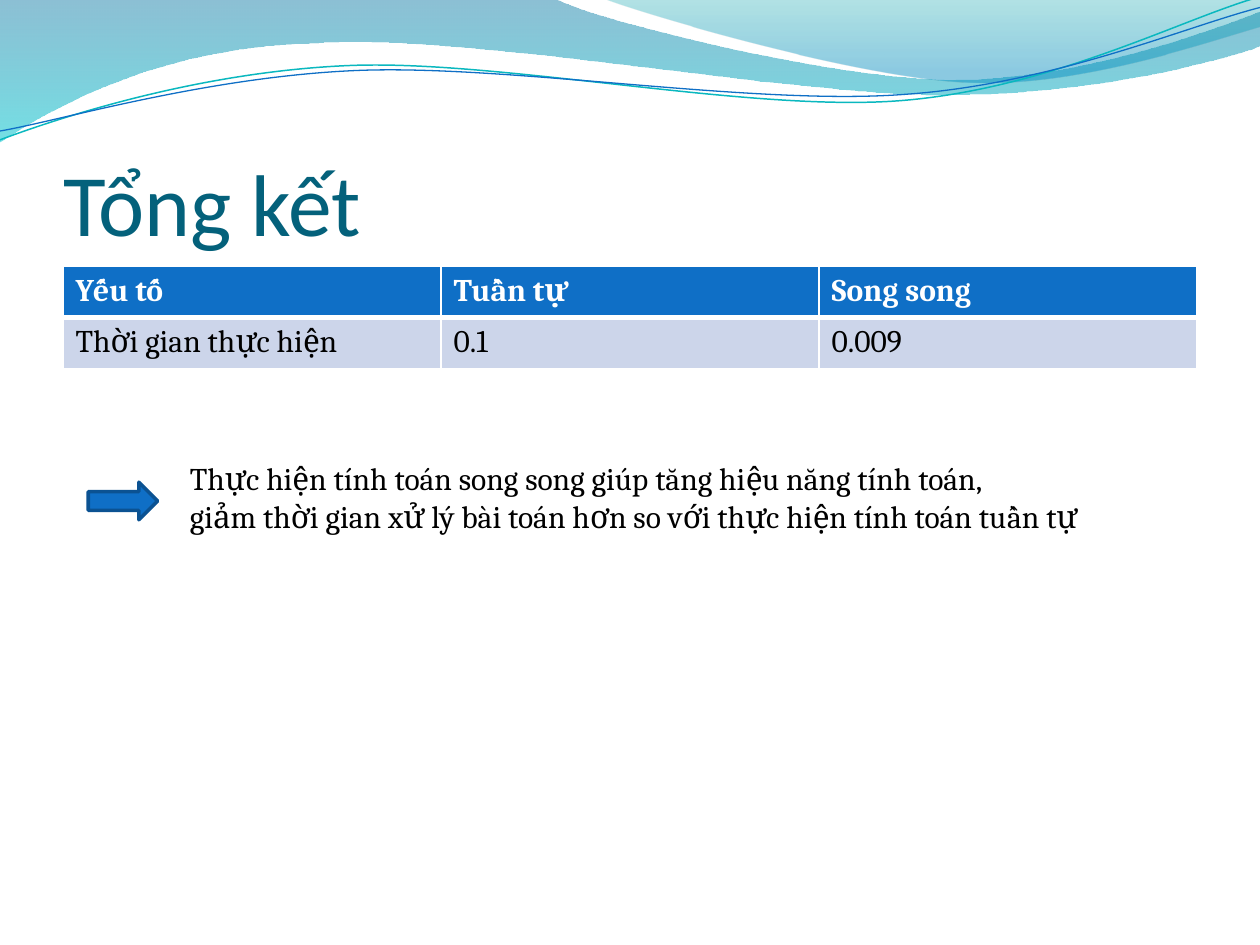
from math import cos, radians, sin

from lxml import etree
from pptx import Presentation
from pptx.dml.color import RGBColor
from pptx.enum.shapes import MSO_SHAPE
from pptx.enum.text import MSO_ANCHOR, MSO_AUTO_SIZE
from pptx.oxml import parse_xml
from pptx.oxml.ns import nsdecls, qn
from pptx.util import Cm, Pt

RIGHT_ARROW = MSO_SHAPE.RIGHT_ARROW
TOP, BOTTOM = MSO_ANCHOR.TOP, MSO_ANCHOR.BOTTOM
NO_FIT, GROW = MSO_AUTO_SIZE.NONE, MSO_AUTO_SIZE.SHAPE_TO_FIT_TEXT

WHITE = RGBColor(0xFF, 0xFF, 0xFF)
BLACK = RGBColor(0x00, 0x00, 0x00)
TITLE_TEAL = RGBColor(0x04, 0x61, 0x7B)
BLUE = RGBColor(0x0F, 0x6F, 0xC6)
DARK_BLUE = RGBColor(0x0B, 0x52, 0x92)
PALE_BLUE = RGBColor(0xCC, 0xD5, 0xEA)
LINE_TEAL = RGBColor(0x0A, 0xB8, 0xBF)
WAVE_BLUE = RGBColor(0x00, 0x74, 0xA1)
WAVE_CYAN = RGBColor(0x00, 0xC6, 0xCF)
CREST_TEAL = RGBColor(0x00, 0xA1, 0xA9)
CREST_BLUE = RGBColor(0x00, 0x8B, 0xBF)

WAVE_UNIT = 2.54  # centimetres per unit of the wave outlines
CURVE_TILT = 357.3

# Each outline is a start point and segments: 2 numbers a line, 6 a Bezier curve.
BAND = [(0, 0), (4.4, -0.01), (4.76, 0.17, 6.64, 0.63, 7.58, 0.63),
        (8.53, 0.63, 9.58, 0.26, 10, 0.09), (10.01, 0.36),
        (9.83, 0.44, 8.7, 0.76, 7.46, 0.75), (6.22, 0.75, 3.82, 0.28, 2.57, 0.34),
        (1.29, 0.36, 0.46, 0.83, -0.01, 1.13), (0, 0)]
CREST = [(4.79, -0.01), (5.09, 0.11, 6.82, 0.62, 7.69, 0.65),
         (8.56, 0.69, 9.61, 0.32, 10, 0.21), (10, 0), (4.79, -0.01)]
TEAL_CURVE = [(0, 1.11), (0.48, 0.93, 1.58, 0.57, 2.77, 0.52),
              (3.95, 0.47, 5.93, 0.89, 7.13, 0.8), (8.33, 0.71, 9.38, 0.15, 9.98, -0.02)]
BLUE_CURVE = [(0, 1.04), (0.47, 0.96, 1.64, 0.61, 2.83, 0.56),
              (4.03, 0.51, 5.97, 0.84, 7.17, 0.75), (8.36, 0.67, 9.41, 0.21, 10, 0.06)]

ROWS = [("Yếu tố", "Tuần tự", "Song song"),
        ("Thời gian thực hiện", "0.1", "0.009")]
CONCLUSION = ["Thực hiện tính toán song song giúp tăng hiệu năng tính toán,",
              "giảm thời gian xử lý bài toán hơn so với thực hiện tính toán tuần tự"]


def turn(outline, center, degrees):
    """Return an outline turned clockwise about a center."""
    c, s = cos(radians(degrees)), sin(radians(degrees))
    turned = []
    for segment in outline:
        numbers = []
        for x, y in zip(segment[::2], segment[1::2]):
            dx, dy = x - center[0], y - center[1]
            numbers += [center[0] + dx * c - dy * s, center[1] + dx * s + dy * c]
        turned.append(tuple(numbers))
    return turned


def add_outline(page, outline, closed):
    """Draw an outline of lines and Bezier curves as a freeform."""
    points = [(Cm(x * WAVE_UNIT), Cm(y * WAVE_UNIT))
              for segment in outline
              for x, y in zip(segment[::2], segment[1::2])]
    builder = page.shapes.build_freeform(*points[0])
    builder.add_line_segments(points[1:], close=closed)
    shape = builder.convert_to_shape()
    shape.shadow.inherit = False
    steps = iter(list(shape.element.iter(qn("a:lnTo"))))
    for segment in outline[1:]:
        step = next(steps)
        if len(segment) == 6:
            curve = etree.Element(qn("a:cubicBezTo"))
            step.addprevious(curve)
            for part in (step, next(steps), next(steps)):
                curve.append(part[0])
                part.getparent().remove(part)
    return shape


def add_wave(page, outline, stops):
    """Add a filled wave; stops are (position %, colour, opacity %)."""
    wave = add_outline(page, outline, closed=True)
    wave.line.fill.background()
    marks = "".join(
        f'<a:gs pos="{position * 1000}"><a:srgbClr val="{color}">'
        f'<a:alpha val="{opacity * 1000}"/></a:srgbClr></a:gs>'
        for position, color, opacity in stops)
    gradient = parse_xml(
        f'<a:gradFill {nsdecls("a")} rotWithShape="1"><a:gsLst>{marks}</a:gsLst>'
        '<a:lin ang="5400000" scaled="0"/></a:gradFill>')
    wave.element.spPr.find(qn("a:custGeom")).addnext(gradient)


def add_curve(page, outline, center, color, width):
    """Add an open curved line, tilted about its center."""
    curve = add_outline(page, turn(outline, center, -CURVE_TILT), closed=False)
    curve.rotation = CURVE_TILT
    curve.fill.background()
    curve.line.color.rgb = color
    curve.line.width = Pt(width)


def write_text(frame, lines, font="Cambria", size=18, color=BLACK, bold=False):
    """Write one paragraph per line into a text frame."""
    for index, line in enumerate(lines):
        para = frame.add_paragraph() if index else frame.paragraphs[0]
        span = para.add_run()
        span.text = line
        span.font.name = font
        span.font.size = Pt(size)
        span.font.bold = bold
        span.font.color.rgb = color


def add_text(page, place, lines, margins, anchor=TOP, wrap=True, fit=NO_FIT,
             **text_format):
    """Add a text box; margins are left, top, right, bottom in centimetres."""
    frame = page.shapes.add_textbox(*map(Cm, place)).text_frame
    frame.word_wrap = wrap
    frame.auto_size = fit
    frame.vertical_anchor = anchor
    (frame.margin_left, frame.margin_top,
     frame.margin_right, frame.margin_bottom) = map(Cm, margins)
    write_text(frame, lines, **text_format)


def set_borders(cell, **widths):
    """Give a cell white borders; widths are in points, by side L, R, T, B."""
    properties = cell._tc.get_or_add_tcPr()
    for index, (side, width) in enumerate(widths.items()):
        border = etree.Element(qn(f"a:ln{side}"), w=str(Pt(width)))
        fill = etree.SubElement(border, qn("a:solidFill"))
        etree.SubElement(fill, qn("a:srgbClr"), val=str(WHITE))
        properties.insert(index, border)


def add_table(page, place, rows):
    """Add a table whose first row is the header."""
    table = page.shapes.add_table(len(rows), len(rows[0]), *map(Cm, place)).table
    for row_index, row in enumerate(rows):
        header = row_index == 0
        for column_index, text in enumerate(row):
            cell = table.cell(row_index, column_index)
            cell.fill.solid()
            cell.fill.fore_color.rgb = BLUE if header else PALE_BLUE
            write_text(cell.text_frame, [text], bold=header,
                       color=WHITE if header else BLACK)
            set_borders(cell, L=1, R=1, T=1 if header else 3, B=3 if header else 1)


def add_arrow(page, place):
    """Add the block arrow that points to the conclusion."""
    arrow = page.shapes.add_shape(RIGHT_ARROW, *map(Cm, place))
    arrow.shadow.inherit = False
    arrow.fill.solid()
    arrow.fill.fore_color.rgb = BLUE
    arrow.line.color.rgb = DARK_BLUE
    arrow.line.width = Pt(2)


def main():
    """Build the summary slide and save it."""
    deck = Presentation()
    deck.slide_width, deck.slide_height = Cm(25.4), Cm(19.05)
    page = deck.slides.add_slide(deck.slide_layouts[6])
    add_wave(page, BAND, [(0, WAVE_BLUE, 45), (100, WAVE_CYAN, 55)])
    add_wave(page, CREST, [(0, CREST_TEAL, 30), (80, CREST_BLUE, 45)])
    add_curve(page, TEAL_CURVE, (4.99, 0.58), LINE_TEAL, 0.85)
    add_curve(page, BLUE_CURVE, (5, 0.59), BLUE, 0.75)
    add_text(page, (1.28, 1.96, 22.86, 3.17), ["Tổng kết"], (0, 0.13, 0, 0),
             anchor=BOTTOM, font="Calibri", size=50, color=TITLE_TEAL)
    add_table(page, (1.27, 5.37, 22.86, 2.06), ROWS)
    add_arrow(page, (1.78, 9.72, 1.4, 0.76))
    add_text(page, (3.58, 9.12, 19.2, 1.8), CONCLUSION, (0.25, 0.13, 0.25, 0.13),
             wrap=False, fit=GROW)
    deck.save("out.pptx")


main()
